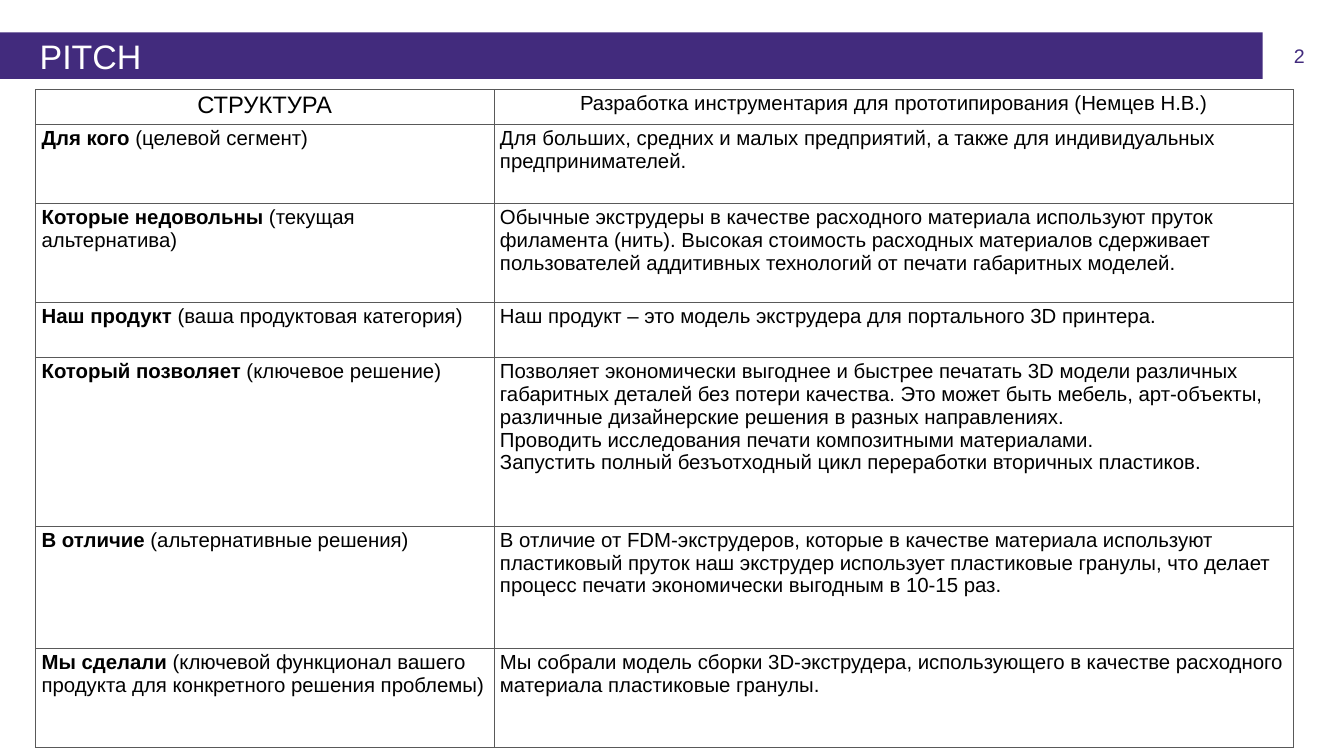
from pptx import Presentation
from pptx.dml.color import RGBColor
from pptx.enum.shapes import MSO_SHAPE
from pptx.enum.text import MSO_ANCHOR as ANCHOR, PP_ALIGN as ALIGN
from pptx.oxml import parse_xml
from pptx.oxml.ns import nsdecls
from pptx.util import Pt

PURPLE, WHITE, BLACK, GREY = "422B7D", "FFFFFF", "000000", "595959"


def color(value):
    return RGBColor.from_string(value)


def style(r, size, value, bold=False):
    r.font.name = "Arial"
    r.font.size = Pt(size)
    r.font.bold = bold
    r.font.color.rgb = color(value)


prs = Presentation()
prs.slide_width, prs.slide_height = Pt(1583.28), Pt(890.64)
s = prs.slides.add_slide(prs.slide_layouts[6])

sp = s.shapes.add_textbox(Pt(1487.5), Pt(51.8), Pt(49.7), Pt(28))
tf = sp.text_frame
tf.word_wrap = True
tf.margin_left = tf.margin_top = tf.margin_right = tf.margin_bottom = 0
tf.vertical_anchor = ANCHOR.MIDDLE
tf.text = "2"
p = tf.paragraphs[0]
p.alignment = ALIGN.RIGHT
style(p.runs[0], 23.1, PURPLE)

sp = s.shapes.add_shape(MSO_SHAPE.RECTANGLE, 0, Pt(38.2), Pt(1487.5), Pt(54.7))
sp.shadow.inherit = False
sp.fill.solid()
sp.fill.fore_color.rgb = color(PURPLE)
sp.line.fill.background()
tf = sp.text_frame
tf.margin_left = Pt(46.8)
tf.vertical_anchor = ANCHOR.MIDDLE
tf.text = "PITCH"
p = tf.paragraphs[0]
p.alignment = ALIGN.LEFT
style(p.runs[0], 40, WHITE)

headers = [
    ("СТРУКТУРА", 28),
    ("Разработка инструментария для прототипирования (Немцев Н.В.)", 24),
]
pitch = [
    ("Для кого ", "(целевой сегмент)",
     ["Для больших, средних и малых предприятий, а также для индивидуальных "
      "предпринимателей."]),
    ("Которые недовольны ", "(текущая альтернатива)",
     ["Обычные экструдеры в качестве расходного материала используют пруток "
      "филамента (нить). Высокая стоимость расходных материалов сдерживает "
      "пользователей аддитивных технологий от печати габаритных моделей."]),
    ("Наш продукт ", "(ваша продуктовая категория)",
     ["Наш продукт – это модель экструдера для портального 3D принтера."]),
    ("Который позволяет ", "(ключевое решение)",
     ["Позволяет экономически выгоднее и быстрее печатать 3D модели различных "
      "габаритных деталей без потери качества. Это может быть мебель, арт-объекты, "
      "различные дизайнерские решения в разных направлениях.",
      "Проводить исследования печати композитными материалами.",
      "Запустить полный безъотходный цикл переработки вторичных пластиков."]),
    ("В отличие ", "(альтернативные решения)",
     ["В отличие от FDM-экструдеров, которые в качестве материала используют "
      "пластиковый пруток наш экструдер использует пластиковые гранулы, что делает "
      "процесс печати экономически выгодным в 10-15 раз."]),
    ("Мы сделали ",
     "(ключевой функционал вашего продукта для конкретного решения проблемы)",
     ["Мы собрали модель сборки 3D-экструдера, использующего в качестве расходного "
      "материала пластиковые гранулы."]),
]
col_widths = [540, 941.8]
row_heights = [41, 93.6, 116.6, 64.8, 198.7, 144, 116.6]

table = s.shapes.add_table(
    len(row_heights), len(col_widths), Pt(41.8), Pt(105.1),
    Pt(sum(col_widths)), Pt(sum(row_heights))).table
table.first_row = table.horz_banding = False
for col, width in zip(table.columns, col_widths):
    col.width = Pt(width)
for row, height in zip(table.rows, row_heights):
    row.height = Pt(height)

for cell in table.iter_cells():
    tcPr = cell._tc.get_or_add_tcPr()
    for side in ("lnL", "lnR", "lnT", "lnB"):
        tcPr.append(parse_xml(
            f'<a:{side} {nsdecls("a")} w="{Pt(0.5)}"><a:solidFill>'
            f'<a:srgbClr val="{GREY}"/></a:solidFill></a:{side}>'))
    cell.fill.solid()
    cell.fill.fore_color.rgb = color(WHITE)

for i, (text, size) in enumerate(headers):
    p = table.cell(0, i).text_frame.paragraphs[0]
    p.text = text
    p.alignment = ALIGN.CENTER
    style(p.runs[0], size, BLACK)

for i, (name, hint, answer) in enumerate(pitch, 1):
    p = table.cell(i, 0).text_frame.paragraphs[0]
    for text, bold in ((name, True), (hint, False)):
        r = p.add_run()
        r.text = text
        style(r, 24, BLACK, bold)
    tf = table.cell(i, 1).text_frame
    tf.text = "\n".join(answer)
    for p in tf.paragraphs:
        style(p.runs[0], 24, BLACK)

prs.save("out.pptx")
